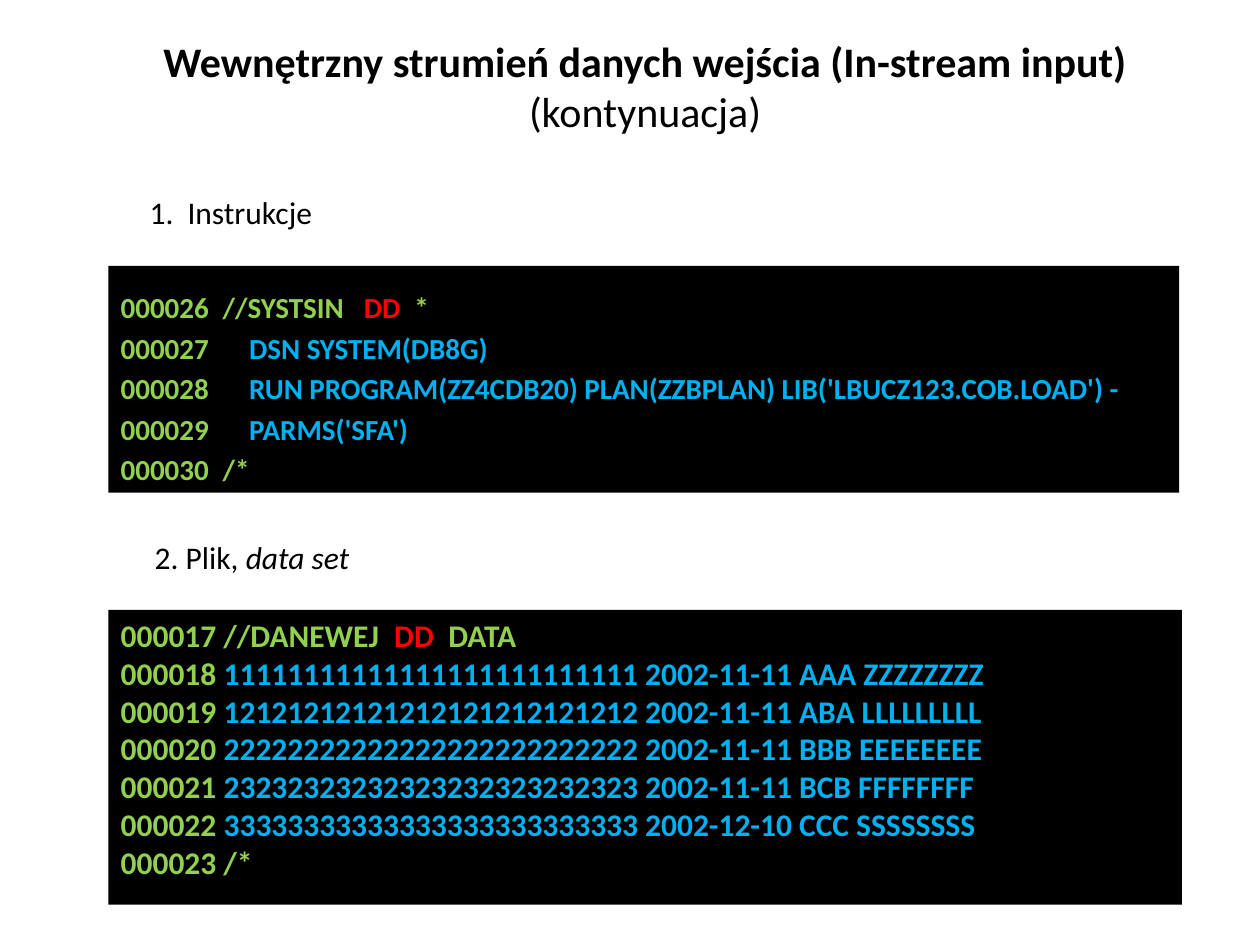
import pptx
import pptx.dml.color
import pptx.enum.shapes
import pptx.enum.text
import pptx.util
from lxml import etree
from pptx.oxml.ns import qn

BLACK = pptx.dml.color.RGBColor(0x00, 0x00, 0x00)
GREEN = pptx.dml.color.RGBColor(0x92, 0xD0, 0x50)
RED = pptx.dml.color.RGBColor(0xFF, 0x00, 0x00)
BLUE = pptx.dml.color.RGBColor(0x00, 0xB0, 0xF0)
FONT = "Calibri"
ANCHOR = pptx.enum.text.MSO_ANCHOR

# Each line: its tab stops in inches, then its coloured spans
JOB_LINES = [
    ((0.81, 1.93, 2.33),
     [("000026\t//SYSTSIN\t", GREEN), ("DD", RED), ("\t*", GREEN)]),
    *(((1.02,), [(number + "\t", GREEN), (command, BLUE)]) for number, command in (
        ("000027", "DSN SYSTEM(DB8G)"),
        ("000028", "RUN PROGRAM(ZZ4CDB20) PLAN(ZZBPLAN) LIB('LBUCZ123.COB.LOAD') -"),
        ("000029", "PARMS('SFA')"),
    )),
    ((0.81,), [("000030\t/*", GREEN)]),
]
DATA_LINES = [
    ((2.17, 2.6),
     [("000017 //DANEWEJ\t", GREEN), ("DD", RED), ("\tDATA", GREEN)]),
    *(((), [(f"{number} ", GREEN), (f"{digits * 13} {record}", BLUE)])
      for number, digits, record in (
        ("000018", "11", "2002-11-11 AAA ZZZZZZZZ"),
        ("000019", "12", "2002-11-11 ABA LLLLLLLLL"),
        ("000020", "22", "2002-11-11 BBB EEEEEEEE"),
        ("000021", "23", "2002-11-11 BCB FFFFFFFF"),
        ("000022", "33", "2002-12-10 CCC SSSSSSSS"),
    )),
    ((), [("000023 /*", GREEN)]),
]


def add_span(para, text, size, colour=BLACK, bold=False, italic=False):
    span = para.add_run()
    span.text = text
    span.font.name = FONT
    span.font.size = pptx.util.Pt(size)
    span.font.bold = bold
    span.font.italic = italic
    span.font.color.rgb = colour


def set_tabs(para, stops):
    if stops:
        tabs = etree.SubElement(para._p.get_or_add_pPr(), qn("a:tabLst"))
        for stop in stops:
            etree.SubElement(tabs, qn("a:tab"), pos=str(pptx.util.Inches(stop)), algn="l")


def next_para(frame, index):
    return frame.paragraphs[0] if index == 0 else frame.add_paragraph()


def add_text_box(page, box):
    frame = page.shapes.add_textbox(*map(pptx.util.Inches, box)).text_frame
    frame.word_wrap = True
    return frame


def add_title(page, box, lines):
    frame = add_text_box(page, box)
    for index, (text, bold) in enumerate(lines):
        para = next_para(frame, index)
        para.alignment = pptx.enum.text.PP_ALIGN.CENTER
        add_span(para, text, 24, bold=bold)


def add_heading(page, box, spans, stops=()):
    para = add_text_box(page, box).paragraphs[0]
    set_tabs(para, stops)
    for text, italic in spans:
        add_span(para, text, 18, italic=italic)


def add_listing(page, box, lines, size, anchor, gap=0):
    panel = page.shapes.add_shape(
        pptx.enum.shapes.MSO_SHAPE.RECTANGLE, *map(pptx.util.Inches, box))
    panel.shadow.inherit = False
    panel.fill.solid()
    panel.fill.fore_color.rgb = BLACK
    panel.line.fill.background()
    frame = panel.text_frame
    frame.word_wrap = True
    frame.vertical_anchor = anchor
    for index, (stops, spans) in enumerate(lines):
        para = next_para(frame, index)
        para.alignment = pptx.enum.text.PP_ALIGN.LEFT
        para.space_before = pptx.util.Pt(gap)
        set_tabs(para, stops)
        for text, colour in spans:
            add_span(para, text, size, colour, bold=True)


def main():
    deck = pptx.Presentation()
    deck.slide_width = pptx.util.Inches(10)
    deck.slide_height = pptx.util.Inches(7.5)
    page = deck.slides.add_slide(deck.slide_layouts[6])

    # Title
    add_title(page, (1.02, 0.23, 8.2, 0.91), [
        ("Wewnętrzny strumień danych wejścia (In-stream input)", True),
        ("(kontynuacja)", False),
    ])

    # Instructions
    add_heading(page, (1.09, 1.48, 1.6, 0.4), [("1.\tInstrukcje", False)], (0.3,))
    add_listing(page, (0.86, 2.11, 8.5, 1.8), JOB_LINES, 16.6, ANCHOR.BOTTOM, 3.2)

    # Data set
    add_heading(page, (1.13, 4.22, 1.87, 0.4), [("2. Plik, ", False), ("data set", True)])
    add_listing(page, (0.86, 4.84, 8.52, 2.34), DATA_LINES, 18, ANCHOR.TOP)

    deck.save("out.pptx")


if __name__ == "__main__":
    main()
